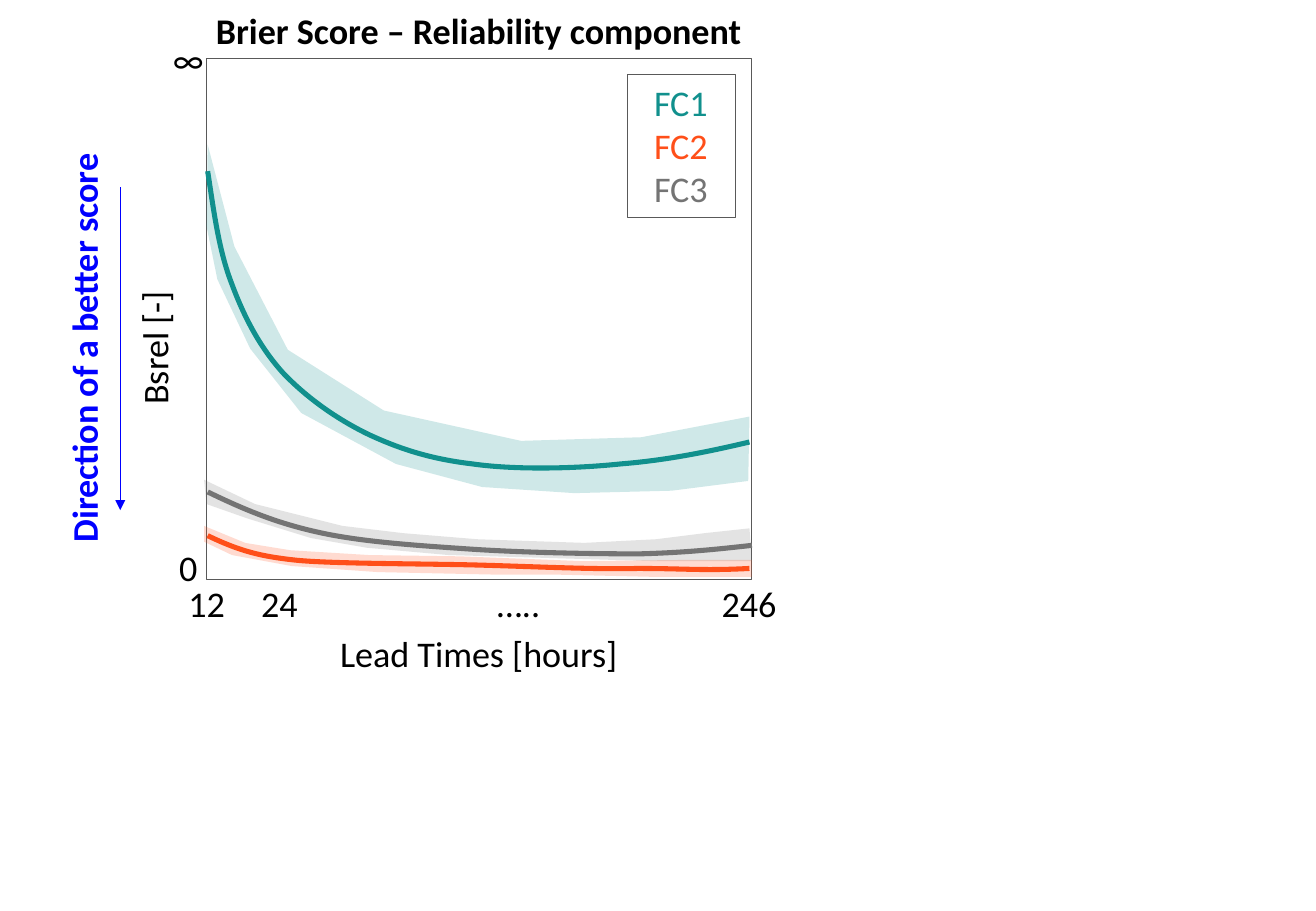
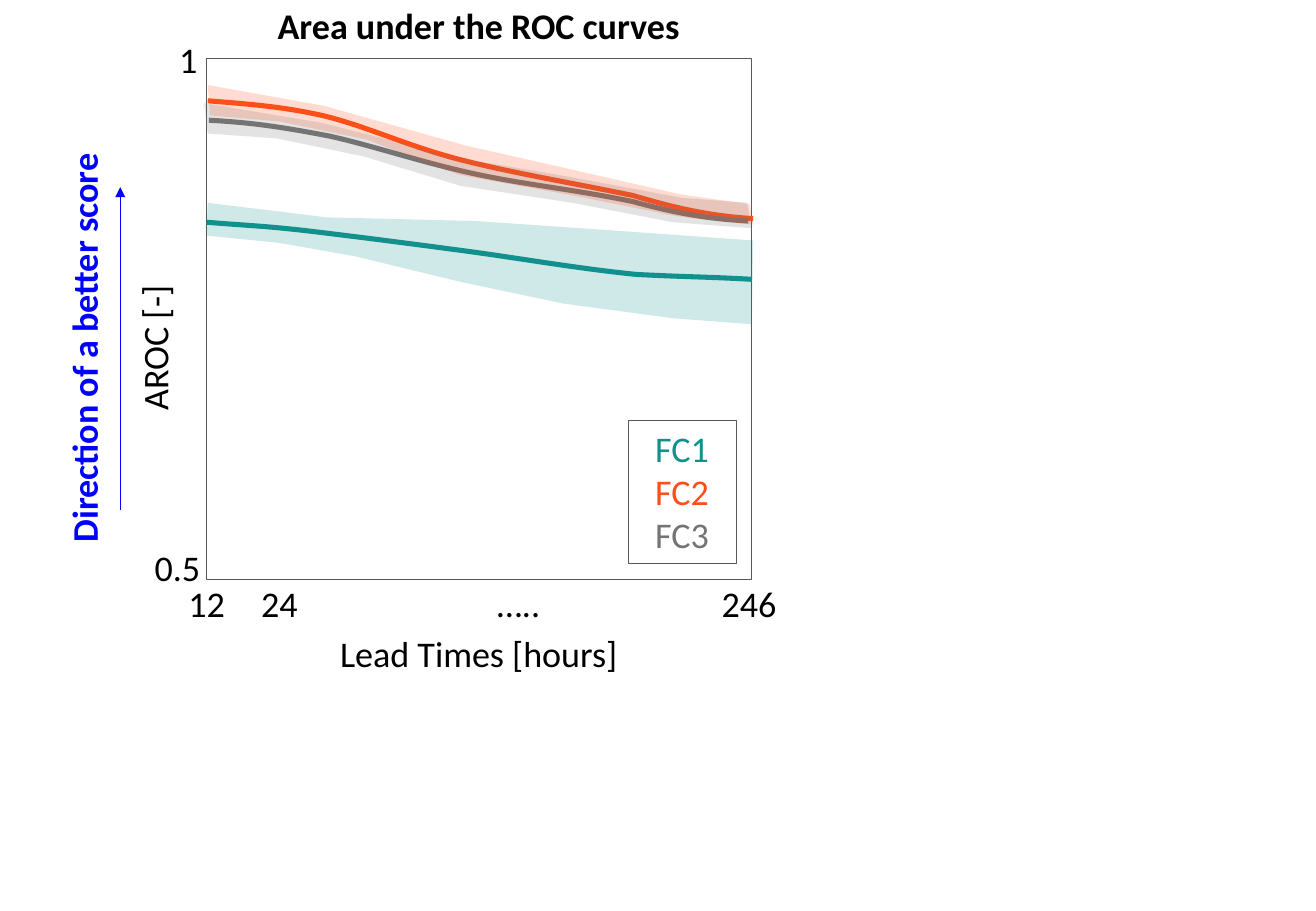
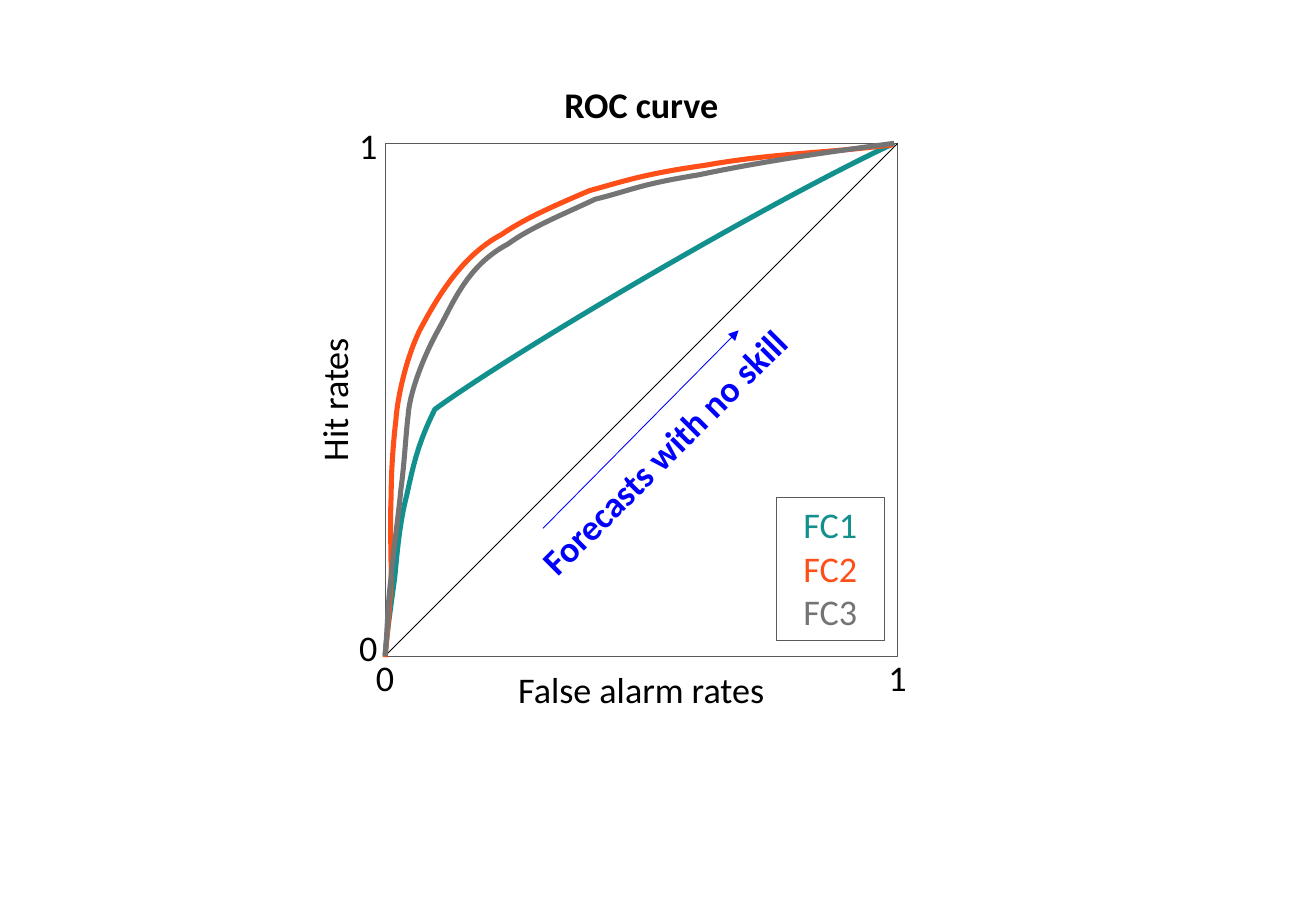
from dataclasses import dataclass

from lxml.etree import SubElement
from pptx import Presentation
from pptx.dml.color import RGBColor
from pptx.enum.shapes import MSO_CONNECTOR, MSO_SHAPE
from pptx.enum.text import MSO_ANCHOR, MSO_AUTO_SIZE, PP_ALIGN
from pptx.oxml.ns import qn
from pptx.util import Pt


@dataclass(frozen=True)
class Theme:
    font: str = "Calibri"
    size: float = 21.4
    text: str = "000000"
    accent: str = "0000FF"
    border: str = "595959"
    frame_width: float = 0.25
    thin_width: float = 0.5
    curve_width: float = 3
    band_alpha: int = 20
    forecasts: tuple = (("FC1", "11908D"), ("FC2", "FF4F19"), ("FC3", "747474"))


@dataclass(frozen=True)
class Frame:
    left: float
    top: float
    width: float
    height: float

    @property
    def right(self):
        return self.left + self.width

    @property
    def bottom(self):
        return self.top + self.height

    @property
    def cx(self):
        return self.left + self.width / 2

    @property
    def cy(self):
        return self.top + self.height / 2


LEAD_TIME_FRAME = Frame(122.4, 34.6, 322.6, 308.9)
ROC_FRAME = Frame(228.2, 85, 303.8, 303.8)
CURVE_UNIT = Pt(0.72)  # curve and band points are whole multiples of this

# Curves: start point, then two control points and an end point per segment.
BRIER_CURVES = {
    "FC1": [(171, 141), (176, 173), (180, 206), (191, 234), (201, 261), (214, 286),
            (233, 307), (252, 327), (277, 345), (304, 358), (330, 370), (355, 378),
            (389, 382), (424, 387), (473, 386), (511, 382), (549, 379), (583, 372),
            (617, 364)],
    "FC3": [(171, 405), (198, 418), (225, 430), (261, 438), (296, 446), (342, 449),
            (386, 452), (430, 455), (487, 456), (526, 456), (565, 455), (592, 452),
            (619, 449)],
    "FC2": [(171, 441), (198, 454), (215, 458), (242, 461), (268, 464), (337, 464),
            (384, 465), (431, 466), (486, 469), (525, 468), (564, 468), (578, 470),
            (617, 468)],
}
BRIER_BANDS = {
    "FC1": [(171, 119), (193, 203), (237, 288), (316, 338), (429, 363), (528, 360),
            (617, 343), (616, 396), (553, 404), (473, 406), (397, 401), (326, 382),
            (248, 340), (206, 287), (179, 230), (170, 186)],
    "FC3": [(168, 395), (210, 415), (282, 433), (332, 439), (393, 444), (481, 447),
            (540, 444), (580, 439), (617, 435), (619, 462), (589, 462), (539, 462),
            (437, 459), (369, 457), (302, 451), (256, 443), (204, 427), (170, 415)],
    "FC2": [(168, 433), (202, 447), (239, 453), (304, 457), (378, 458), (480, 462),
            (562, 461), (619, 461), (619, 475), (542, 475), (454, 473), (405, 473),
            (311, 471), (240, 466), (191, 457), (168, 446)],
}
AROC_CURVES = {
    "FC2": [(171, 83), (208, 86), (235, 88), (269, 96), (304, 105), (335, 120),
            (377, 131), (419, 142), (473, 151), (521, 161), (558, 172), (586, 178),
            (620, 180)],
    "FC3": [(172, 99), (209, 101), (234, 105), (271, 112), (307, 120), (348, 134),
            (390, 143), (431, 152), (473, 156), (521, 166), (558, 176), (582, 180),
            (616, 182)],
    "FC1": [(170, 183), (207, 186), (217, 186), (252, 190), (286, 194), (333, 200),
            (378, 206), (424, 212), (474, 221), (524, 226), (563, 228), (584, 228),
            (619, 230)],
}
AROC_BANDS = {
    "FC1": [(171, 167), (269, 179), (392, 182), (493, 189), (564, 194), (620, 198),
            (619, 267), (554, 262), (464, 250), (379, 232), (292, 211), (230, 200),
            (170, 194)],
    "FC3": [(168, 85), (264, 101), (383, 131), (465, 145), (562, 163), (615, 167),
            (619, 188), (554, 183), (471, 167), (379, 153), (300, 129), (228, 114),
            (171, 110)],
    "FC2": [(171, 70), (266, 87), (384, 120), (468, 139), (560, 160), (617, 168),
            (620, 185), (557, 178), (472, 161), (378, 144), (302, 115), (230, 100),
            (173, 95)],
}
ROC_CURVES = {
    "FC1": [(317, 539), (319, 518), (322, 497), (325, 475), (327, 454), (329, 430),
            (335, 407), (340, 384), (344, 365), (358, 337), (425, 288), (635, 165),
            (736, 118)],
    "FC2": [(317, 541), (319, 520), (321, 498), (322, 476), (322, 454), (321, 430),
            (322, 408), (322, 386), (324, 362), (326, 345), (327, 329), (334, 295),
            (346, 271), (359, 247), (379, 211), (413, 193), (433, 179), (462, 167),
            (485, 157), (514, 149), (531, 143), (581, 136), (637, 126), (682, 126),
            (736, 119)],
    "FC3": [(317, 540), (319, 519), (319, 498), (322, 475), (324, 452), (328, 425),
            (330, 403), (333, 381), (334, 358), (336, 342), (337, 325), (347, 297),
            (360, 273), (373, 250), (384, 219), (418, 201), (437, 187), (467, 175),
            (490, 164), (519, 157), (525, 152), (575, 144), (627, 133), (682, 125),
            (736, 118)],
}


class Deck:
    def __init__(self, theme):
        self.theme = theme
        self.colors = dict(theme.forecasts)
        self.prs = Presentation()
        self.prs.slide_width, self.prs.slide_height = Pt(780), Pt(540)
        self.slide = None

    def add_slide(self, title, frame, title_cy):
        self.slide = self.prs.slides.add_slide(self.prs.slide_layouts[5])
        sp = self.slide.shapes.title
        width, height = 335, 33.3
        sp.left, sp.top = Pt(frame.cx - width / 2), Pt(title_cy - height / 2)
        sp.width, sp.height = Pt(width), Pt(height)
        self.set_lines(sp, [(title, self.theme.text)], bold=True)
        self.rect(frame)

    def set_lines(self, sp, lines, bold=False):
        """Fill a shape with centred lines, given as (text, colour) pairs."""
        tf = sp.text_frame
        tf.word_wrap = True
        tf.auto_size = MSO_AUTO_SIZE.SHAPE_TO_FIT_TEXT
        tf.vertical_anchor = MSO_ANCHOR.TOP
        for i, (text, color) in enumerate(lines):
            p = tf.add_paragraph() if i else tf.paragraphs[0]
            p.text = text
            p.alignment = PP_ALIGN.CENTER
            p.font.name, p.font.size, p.font.bold = self.theme.font, Pt(self.theme.size), bold
            p.font.color.rgb = RGBColor.from_string(color)

    def label(self, text, cx, cy, width=60, height=33.3, color=None, bold=False):
        sp = self.slide.shapes.add_textbox(
            Pt(cx - width / 2), Pt(cy - height / 2), Pt(width), Pt(height))
        self.set_lines(sp, [(text, color or self.theme.text)], bold)
        return sp

    def upward_label(self, text, cx, cy, rotation=0, **style):
        sp = self.label(text, cx, cy, width=40.3, height=308.9, **style)
        next(sp._element.iter(qn("a:bodyPr"))).set("vert", "vert270")
        sp.rotation = rotation

    def rect(self, box):
        sp = self.slide.shapes.add_shape(
            MSO_SHAPE.RECTANGLE, Pt(box.left), Pt(box.top), Pt(box.width), Pt(box.height))
        sp.shadow.inherit = False
        sp.fill.background()
        self.stroke(sp, self.theme.border, self.theme.frame_width)
        return sp

    def legend(self, left, top):
        self.set_lines(self.rect(Frame(left, top, 64.1, 85)), self.theme.forecasts)

    def stroke(self, sp, color, width):
        sp.line.color.rgb = RGBColor.from_string(color)
        sp.line.width = Pt(width)

    def line(self, start, end, color, arrow=False):
        cxn = self.slide.shapes.add_connector(
            MSO_CONNECTOR.STRAIGHT, *(Pt(v) for v in (*start, *end)))
        self.stroke(cxn, color, self.theme.thin_width)
        sp_pr = cxn._element.spPr
        if arrow:
            SubElement(sp_pr.find(qn("a:ln")), qn("a:tailEnd"), type="triangle")
        SubElement(sp_pr, qn("a:effectLst"))

    def freeform(self, points, close):
        builder = self.slide.shapes.build_freeform(*points[0], scale=CURVE_UNIT)
        builder.add_line_segments(points[1:], close=close)
        sp = builder.convert_to_shape()
        sp.shadow.inherit = False
        return sp

    def curves(self, curves):
        for name, points in curves.items():
            sp = self.freeform(points, close=False)
            sp.fill.background()
            self.stroke(sp, self.colors[name], self.theme.curve_width)
            outline = next(sp._element.iter(qn("a:path")))
            steps = outline.findall(qn("a:lnTo"))
            for i in range(0, len(steps), 3):
                bezier = SubElement(outline, qn("a:cubicBezTo"))
                for step in steps[i:i + 3]:
                    bezier.append(step[0])
                    outline.remove(step)

    def bands(self, bands):
        for name, points in bands.items():
            sp = self.freeform(points, close=True)
            sp.line.fill.background()
            sp.fill.solid()
            sp.fill.fore_color.rgb = RGBColor.from_string(self.colors[name])
            color = next(sp._element.spPr.iter(qn("a:srgbClr")))
            SubElement(color, qn("a:alpha"), val=str(self.theme.band_alpha * 1000))

    def lead_time_slide(self, title, title_cy, measure, low, high, low_cx, better_up,
                        legend_at, curves, bands):
        f, accent = LEAD_TIME_FRAME, self.theme.accent
        self.add_slide(title, f, title_cy)
        for text, cx in (("12", f.left), ("24", 165.6), ("…..", 307.4), ("246", 443.9)):
            self.label(text, cx, f.bottom + 14.5)
        self.label("Lead Times [hours]", f.cx, f.bottom + 44, f.width)
        self.label(low, low_cx, f.bottom - 7.2)
        self.label(high, f.left - 10.8, f.top + 0.7)
        self.upward_label(measure, 95, 206.3)
        self.upward_label("Direction of a better score", 53.3, 206.3, color=accent, bold=True)
        ends = [(71.3, 110.9), (71.3, 302.4)]
        start, end = reversed(ends) if better_up else ends
        self.line(start, end, accent, arrow=True)
        self.legend(*legend_at)
        self.curves(curves)
        self.bands(bands)

    def roc_slide(self):
        f, theme = ROC_FRAME, self.theme
        self.add_slide("ROC curve", f, 61.9)
        self.label("False alarm rates", f.cx, f.bottom + 20.2, f.width)
        self.upward_label("Hit rates", 201.6, f.cy)
        for text, x, y in (("0", f.left, f.bottom - 5), ("1", f.right, f.top + 1.4)):
            self.label(text, x, f.bottom + 13)
            self.label(text, f.left - 10, y)
        self.line((f.left, f.bottom), (f.right, f.top), theme.text)
        self.line((321.8, 313.2), (437.8, 195.8), theme.accent, arrow=True)
        self.upward_label("Forecasts with no skill", 396, 270.4, rotation=45,
                          color=theme.accent, bold=True)
        self.legend(460.1, 294.5)
        self.curves(ROC_CURVES)


def main():
    deck = Deck(Theme())
    deck.lead_time_slide(
        "Brier Score – Reliability component", 18, "Bsrel [-]", low="0", high="∞",
        low_cx=111.6, better_up=False, legend_at=(371.5, 43.9),
        curves=BRIER_CURVES, bands=BRIER_BANDS)
    deck.lead_time_slide(
        "Area under the ROC curves", 15.1, "AROC [-]", low="0.5", high="1",
        low_cx=105.1, better_up=True, legend_at=(372.2, 249.1),
        curves=AROC_CURVES, bands=AROC_BANDS)
    deck.roc_slide()
    deck.prs.save("out.pptx")


if __name__ == "__main__":
    main()
